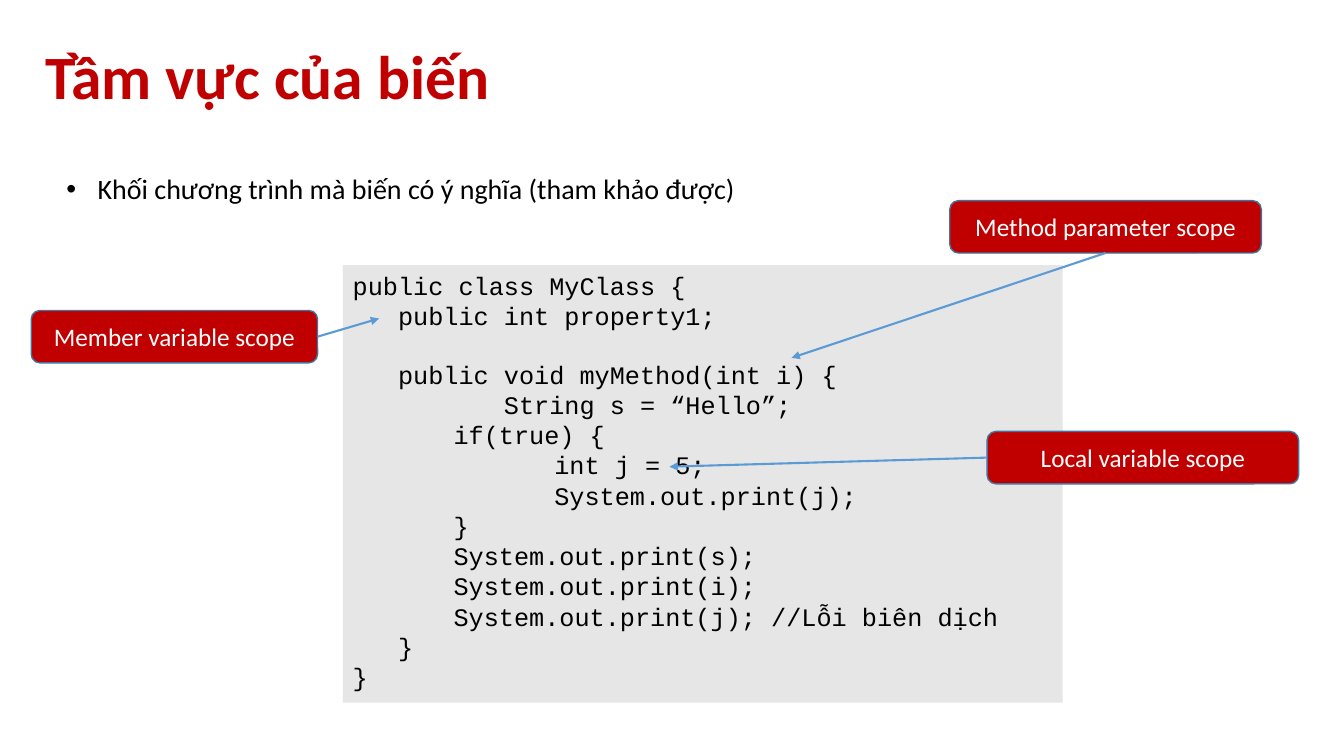
from dataclasses import dataclass

from lxml.etree import SubElement
from pptx import Presentation
from pptx.dml.color import RGBColor as Rgb
from pptx.enum.shapes import MSO_CONNECTOR as Conn, MSO_SHAPE as Kind
from pptx.enum.text import MSO_ANCHOR as Anchor, PP_ALIGN as Align
from pptx.oxml.ns import qn
from pptx.util import Inches, Pt


@dataclass(frozen=True)
class Theme:
    red: Rgb = Rgb(0xC0, 0x00, 0x00)
    black: Rgb = Rgb(0x00, 0x00, 0x00)
    white: Rgb = Rgb(0xFF, 0xFF, 0xFF)
    gray: Rgb = Rgb(0xE7, 0xE6, 0xE6)
    edge: Rgb = Rgb(0x43, 0x73, 0x9E)
    arrow: Rgb = Rgb(0x5B, 0x9B, 0xD5)
    sans: str = "Calibri"
    mono: str = "Courier New"
    head: float = 44
    body: float = 20
    small: float = 18
    row: float = 20.4  # height of one code line


@dataclass(frozen=True)
class Code:
    text: str
    left: float = 0
    gap: bool = False  # one empty row above


@dataclass(frozen=True)
class Label:
    text: str
    left: float
    top: float
    width: float
    site: int  # 1 left, 2 bottom, 3 right
    tip: tuple[float, float]


LOOK = Theme()
TALL = 0.52
STEP = 0.45  # indent of class members

CODE = [
    Code("public class MyClass {"),
    Code("public int property1;", STEP),
    Code("public void myMethod(int i) {", STEP, True),
    Code("String s = “Hello”;", 1.5),
    Code("if(true) {", 1),
    Code("int j = 5;", 2),
    Code("System.out.print(j);", 2),
    Code("}", 1),
    Code("System.out.print(s);", 1),
    Code("System.out.print(i);", 1),
    Code("System.out.print(j); //Lỗi biên dịch", 1),
    Code("}", STEP),
    Code("}"),
]

LABELS = [
    Label("Member variable scope", 0.31, 3.08, 2.84, 3, (3.76, 3.16)),
    Label("Method parameter scope", 9.42, 1.99, 3.09, 2, (7.85, 3.55)),
    Label("Local variable scope", 9.79, 4.28, 3.09, 1, (6.64, 4.63)),
]


def add_run(para, text: str, size: float, color: Rgb, face: str = LOOK.sans, bold: bool = False) -> None:
    run = para.add_run()
    run.text = text
    font = run.font
    font.name, font.size, font.bold = face, Pt(size), bold
    font.color.rgb = color


def indent(para, left: float, first: float = 0):
    props = para._p.get_or_add_pPr()
    props.set("marL", str(Inches(left)))
    props.set("indent", str(Inches(first)))
    return props


def add_title(slide, text: str) -> None:
    frame = slide.shapes.add_textbox(Inches(0.45), Inches(0.6), Inches(12.43), Inches(0.4)).text_frame
    frame.word_wrap = True
    frame.vertical_anchor = Anchor.MIDDLE
    frame.margin_left = frame.margin_right = frame.margin_top = frame.margin_bottom = 0
    para = frame.paragraphs[0]
    para.line_spacing = 0.85
    add_run(para, text, LOOK.head, LOOK.red, bold=True)


def add_point(slide, text: str) -> None:
    frame = slide.shapes.add_textbox(Inches(0.56), Inches(1.32), Inches(7.49), Inches(1.34)).text_frame
    frame.word_wrap = True
    para = frame.paragraphs[0]
    para.line_spacing = 2.0
    props = indent(para, 0.31, -0.31)
    SubElement(props, qn("a:buFont"), typeface="Arial")
    SubElement(props, qn("a:buChar"), char="•")
    add_run(para, text, LOOK.body, LOOK.black)


def add_code(slide, rows: list[Code]) -> None:
    box = slide.shapes.add_shape(Kind.RECTANGLE, Inches(3.4), Inches(2.63), Inches(7.14), Inches(4.34))
    box.shadow.inherit = False
    box.fill.solid()
    box.fill.fore_color.rgb = LOOK.gray
    box.line.fill.background()
    frame = box.text_frame
    frame.word_wrap = True
    frame.vertical_anchor = Anchor.TOP
    for i, row in enumerate(rows):
        para = frame.add_paragraph() if i else frame.paragraphs[0]
        para.alignment = Align.LEFT
        indent(para, row.left)
        if row.gap:
            para.space_before = Pt(LOOK.row)
        add_run(para, row.text, LOOK.small, LOOK.black, LOOK.mono)


def add_label(slide, item: Label):
    box = slide.shapes.add_shape(
        Kind.ROUNDED_RECTANGLE, Inches(item.left), Inches(item.top), Inches(item.width), Inches(TALL)
    )
    box.shadow.inherit = False
    box.fill.solid()
    box.fill.fore_color.rgb = LOOK.red
    box.line.color.rgb = LOOK.edge
    box.line.width = Pt(1)
    frame = box.text_frame
    frame.word_wrap = True
    frame.vertical_anchor = Anchor.MIDDLE
    para = frame.paragraphs[0]
    para.alignment = Align.CENTER
    add_run(para, item.text, LOOK.small, LOOK.white)
    return box


def add_arrow(slide, box, item: Label) -> None:
    x, y = (Inches(v) for v in item.tip)
    link = slide.shapes.add_connector(Conn.STRAIGHT, x, y, x, y)
    link.begin_connect(box, item.site)
    link.line.color.rgb = LOOK.arrow
    link.line.width = Pt(1.5)
    SubElement(link.line._get_or_add_ln(), qn("a:tailEnd"), type="triangle")
    SubElement(link._element.spPr, qn("a:effectLst"))


def main() -> None:
    deck = Presentation()
    deck.slide_width, deck.slide_height = Inches(13.33), Inches(7.5)
    slide = deck.slides.add_slide(deck.slide_layouts[6])

    # Heading and definition
    add_title(slide, "Tầm vực của biến")
    add_point(slide, "Khối chương trình mà biến có ý nghĩa (tham khảo được)")

    # Code sample
    add_code(slide, CODE)

    # Scope labels, then the arrows above them
    boxes = [add_label(slide, item) for item in LABELS]
    for box, item in zip(boxes, LABELS):
        add_arrow(slide, box, item)

    deck.save("out.pptx")


if __name__ == "__main__":
    main()
